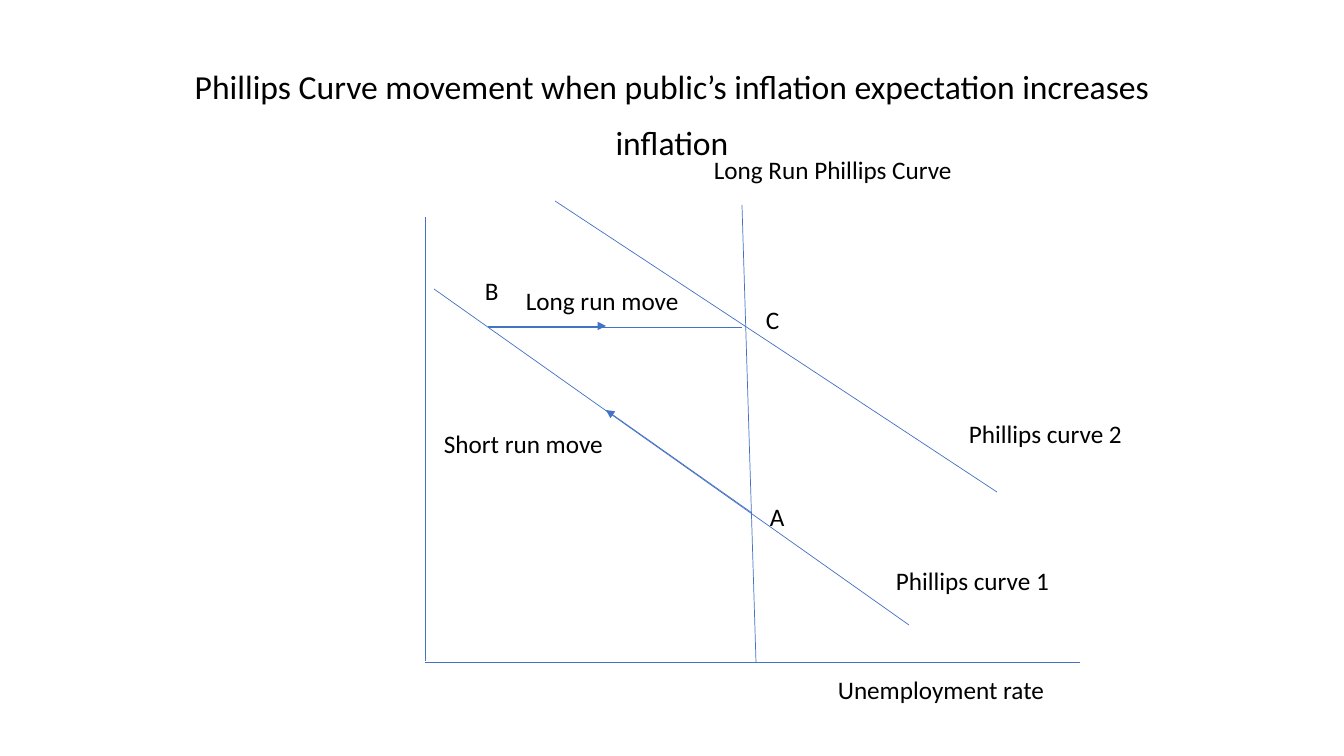
from lxml import etree
from pptx import Presentation
from pptx import util as u
from pptx.dml.color import RGBColor
from pptx.enum import shapes, text
from pptx.oxml import ns

SCALE = 914400 / 100.8
FONT = "Calibri"
BLACK = RGBColor(0x00, 0x00, 0x00)
BLUE = RGBColor(0x44, 0x72, 0xC4)

# Each line: start x, start y, end x, end y
AXES = [(425, 217, 425, 661), (425, 662, 1080, 662)]
CURVES = [
    (742, 205, 756, 662),  # long run
    (555, 201, 997, 492),  # Phillips curve 2
    (434, 289, 909, 625),  # Phillips curve 1
]
LONG_RUN_PATH = (742, 327, 489, 327)
MOVES = [(752, 513, 606, 410), (488, 326, 606, 326)]

# Each label: wording, left, top, width
LABELS = [
    ("Long Run Phillips Curve", 704, 149, 274),
    ("A", 760, 496, 53),
    ("B", 475, 270, 53),
    ("C", 756, 299, 57),
    ("Unemployment rate", 828, 669, 265),
    ("Short run move", 434, 423, 191),
    ("Long run move", 516, 280, 178),
    ("Phillips curve 1", 886, 560, 194),
    ("Phillips curve 2", 959, 413, 210),
]
LABEL_HEIGHT = 40


def px(length):
    """Turn pixels into EMU."""
    return u.Emu(round(length * SCALE))


def set_font(para, size):
    """Give a paragraph the slide's font in black."""
    para.font.name = FONT
    para.font.size = u.Pt(size)
    para.font.color.rgb = BLACK


def fill_placeholder(holder, wording, top, height, anchor, space_before):
    """Move a centred placeholder and write its text."""
    holder.left, holder.top = px(168), px(top)
    holder.width, holder.height = px(1008), px(height)
    frame = holder.text_frame
    frame.text = wording
    frame.word_wrap = True
    frame.auto_size = text.MSO_AUTO_SIZE.NONE
    frame.vertical_anchor = anchor
    para = frame.paragraphs[0]
    para.alignment = text.PP_ALIGN.CENTER
    para.line_spacing = 0.9
    para.space_before = u.Pt(space_before)
    set_font(para, 24)


def add_line(page, ends, arrow=False):
    """Draw a thin straight line, with an arrowhead at its end if asked."""
    line = page.shapes.add_connector(
        shapes.MSO_CONNECTOR.STRAIGHT, *map(px, ends))
    line.line.color.rgb = BLUE
    line.line.width = u.Pt(0.5)
    properties = line.element.spPr
    if arrow:
        outline = properties.find(ns.qn("a:ln"))
        etree.SubElement(outline, ns.qn("a:tailEnd"), type="triangle")
    etree.SubElement(properties, ns.qn("a:effectLst"))


def add_label(page, wording, left, top, width):
    """Write one diagram label."""
    box = page.shapes.add_textbox(px(left), px(top), px(width), px(LABEL_HEIGHT))
    frame = box.text_frame
    frame.word_wrap = True
    frame.auto_size = text.MSO_AUTO_SIZE.SHAPE_TO_FIT_TEXT
    frame.text = wording
    set_font(frame.paragraphs[0], 18)


def main():
    """Build the Phillips curve slide."""
    deck = Presentation()
    deck.slide_width, deck.slide_height = px(1344), px(756)
    page = deck.slides.add_slide(deck.slide_layouts[0])
    fill_placeholder(
        page.shapes.title,
        "Phillips Curve movement when public’s inflation expectation increases",
        47, 65, text.MSO_ANCHOR.BOTTOM, 0)
    fill_placeholder(
        page.placeholders[1], "inflation", 121, 579, text.MSO_ANCHOR.TOP, 10)
    for ends in [*AXES, *CURVES, LONG_RUN_PATH]:
        add_line(page, ends)
    for ends in MOVES:
        add_line(page, ends, arrow=True)
    for label in LABELS:
        add_label(page, *label)
    deck.save("out.pptx")


main()
